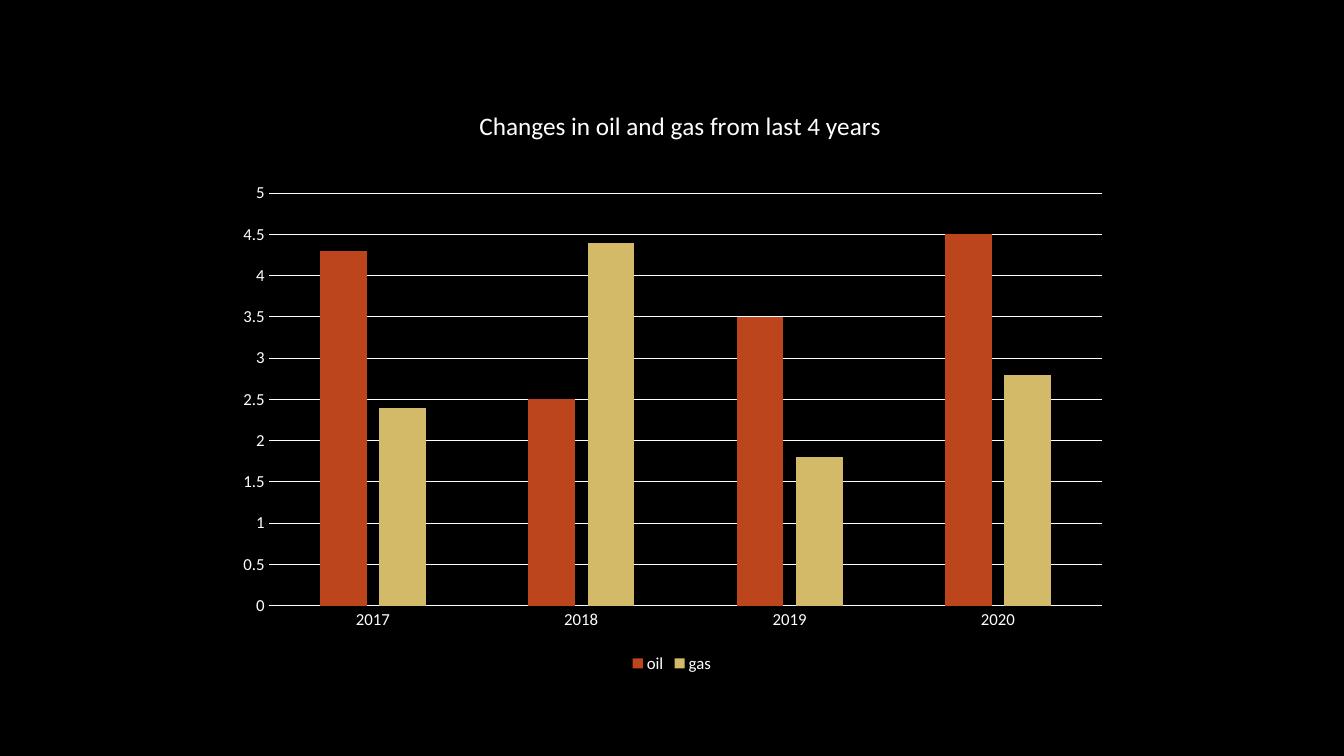
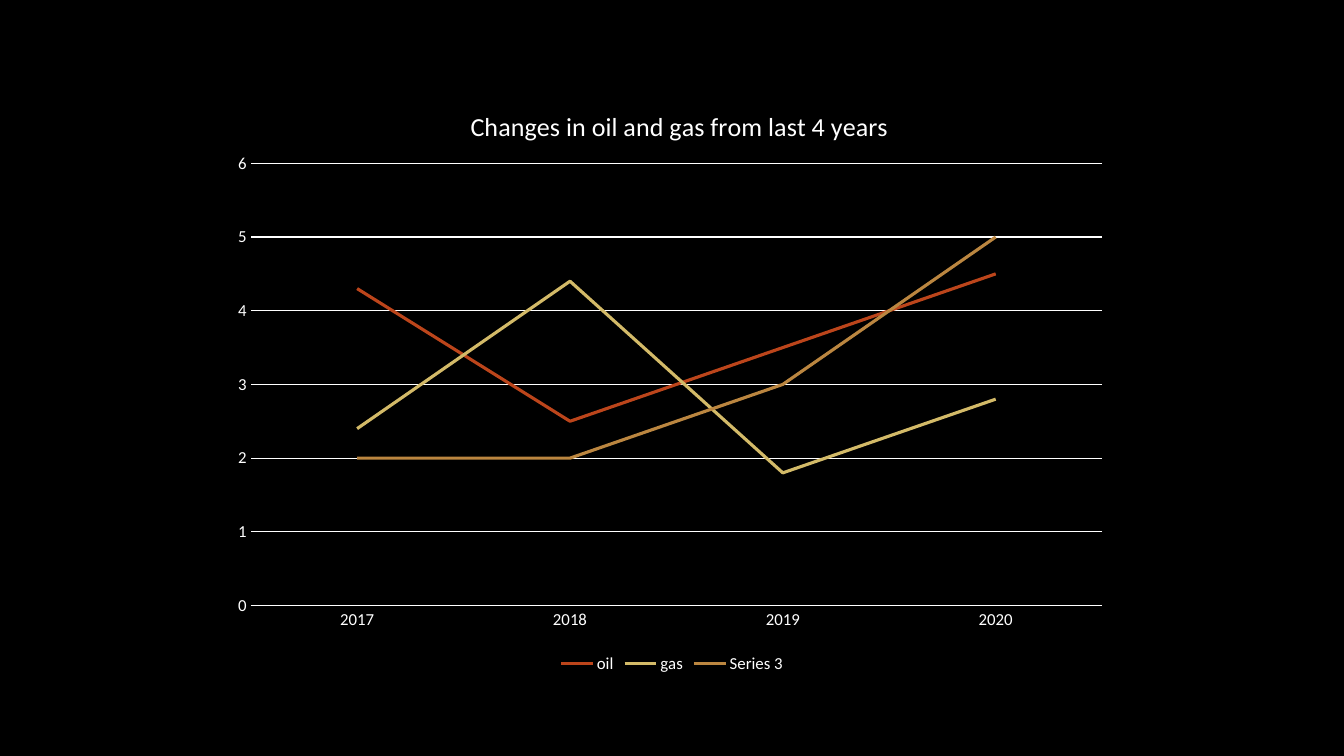
"""Build two slides charting changes in oil and gas."""
from dataclasses import dataclass

import lxml.etree
import pptx
import pptx.chart.chart
import pptx.chart.data
import pptx.dml.color
import pptx.enum.chart
import pptx.oxml
import pptx.oxml.ns
import pptx.util

BLACK = pptx.dml.color.RGBColor(0x00, 0x00, 0x00)
WHITE = pptx.dml.color.RGBColor(0xFF, 0xFF, 0xFF)
RUST = pptx.dml.color.RGBColor(0xBC, 0x45, 0x1B)
SAND = pptx.dml.color.RGBColor(0xD3, 0xBA, 0x68)
BRONZE = pptx.dml.color.RGBColor(0xBB, 0x86, 0x40)
FONT = "Calibri"
TITLE = "Changes in oil and gas from last 4 years"
YEARS = ("2017", "2018", "2019", "2020")
COLUMN = pptx.enum.chart.XL_CHART_TYPE.COLUMN_CLUSTERED
LINE = pptx.enum.chart.XL_CHART_TYPE.LINE


@dataclass(frozen=True)
class Series:
    name: str
    values: tuple[float, ...]
    color: pptx.dml.color.RGBColor


@dataclass(frozen=True)
class ChartSlide:
    kind: pptx.enum.chart.XL_CHART_TYPE
    title_size: float
    title_y: float
    title_x: float
    plot: tuple[float, float, float, float]
    axis_max: float
    axis_step: float
    series: tuple[Series, ...]


OIL = Series("oil", (4.3, 2.5, 3.5, 4.5), RUST)
GAS = Series("gas", (2.4, 4.4, 1.8, 2.8), SAND)
THIRD = Series("Series 3", (2, 2, 3, 5), BRONZE)
SLIDES = (
    ChartSlide(COLUMN, 18, 0.04, 0.28, (0.05, 0.19, 0.93, 0.69), 5, 0.5, (OIL, GAS)),
    ChartSlide(LINE, 18.6, 0.04, 0.27, (0.03, 0.14, 0.95, 0.74), 6, 1, (OIL, GAS, THIRD)),
)


def set_font(font: pptx.text.text.Font, size: float) -> None:
    font.name = FONT
    font.size = pptx.util.Pt(size)
    font.color.rgb = WHITE


def set_line(line: pptx.dml.line.LineFormat, color: pptx.dml.color.RGBColor, width: float) -> None:
    line.color.rgb = color
    line.width = pptx.util.Pt(width)


def place(parent: lxml.etree._Element, index: int, **settings: str | float) -> None:
    """Give a chart part a manual layout in fractions of the chart."""
    for old in parent.findall(pptx.oxml.ns.qn("c:layout")):
        parent.remove(old)
    layout = pptx.oxml.parse_xml(f"<c:layout {pptx.oxml.ns.nsdecls('c')}><c:manualLayout/></c:layout>")
    for name, value in settings.items():
        item = lxml.etree.SubElement(layout[0], pptx.oxml.ns.qn(f"c:{name}"))
        item.set("val", str(value))
    parent.insert(index, layout)


def style_title(chart: pptx.chart.chart.Chart, spec: ChartSlide) -> None:
    chart.has_title = True
    p = chart.chart_title.text_frame.paragraphs[0]
    p.text = TITLE
    set_font(p.font, spec.title_size)
    p.font.bold = False
    title = chart._chartSpace.chart.find(pptx.oxml.ns.qn("c:title"))
    place(title, 1, xMode="edge", yMode="edge", x=spec.title_x, y=spec.title_y)
    chart.chart_title.include_in_layout = False


def style_axes(chart: pptx.chart.chart.Chart, spec: ChartSlide) -> None:
    for axis in (chart.category_axis, chart.value_axis):
        axis.major_tick_mark = pptx.enum.chart.XL_TICK_MARK.NONE
        axis.minor_tick_mark = pptx.enum.chart.XL_TICK_MARK.NONE
        set_font(axis.tick_labels.font, 12)
    set_line(chart.category_axis.format.line, WHITE, 0.75)
    axis = chart.value_axis
    axis.format.line.fill.background()
    axis.minimum_scale = 0
    axis.maximum_scale = spec.axis_max
    axis.major_unit = spec.axis_step
    axis.has_major_gridlines = True
    set_line(axis.major_gridlines.format.line, WHITE, 0.75)


def style_series(chart: pptx.chart.chart.Chart, spec: ChartSlide) -> None:
    plot = chart.plots[0]
    plot.vary_by_categories = False
    if spec.kind == COLUMN:
        plot.gap_width = 219
        plot.overlap = -27
    for drawn, series in zip(plot.series, spec.series):
        if spec.kind == COLUMN:
            drawn.format.fill.solid()
            drawn.format.fill.fore_color.rgb = series.color
        else:
            drawn.smooth = False
            drawn.marker.style = pptx.enum.chart.XL_MARKER_STYLE.NONE
            set_line(drawn.format.line, series.color, 2.25)


def add_chart_slide(prs: pptx.presentation.Presentation, spec: ChartSlide) -> None:
    s = prs.slides.add_slide(prs.slide_layouts[6])
    data = pptx.chart.data.CategoryChartData()
    data.categories = YEARS
    for series in spec.series:
        data.add_series(series.name, series.values)
    box = (pptx.util.Inches(n) for n in (2.22, 0.79, 8.89, 5.93))
    chart = s.shapes.add_chart(spec.kind, *box, data).chart
    set_font(chart.font, 10)
    style_title(chart, spec)
    style_axes(chart, spec)
    style_series(chart, spec)
    chart.has_legend = True
    chart.legend.position = pptx.enum.chart.XL_LEGEND_POSITION.BOTTOM
    chart.legend.include_in_layout = False
    set_font(chart.legend.font, 12)
    x, y, w, h = spec.plot
    place(chart._chartSpace.chart.plotArea, 0, layoutTarget="inner",
          xMode="edge", yMode="edge", x=x, y=y, w=w, h=h)


def main() -> None:
    prs = pptx.Presentation()
    prs.slide_width = pptx.util.Inches(13.33)
    prs.slide_height = pptx.util.Inches(7.5)
    fill = prs.slide_master.background.fill
    fill.solid()
    fill.fore_color.rgb = BLACK
    for spec in SLIDES:
        add_chart_slide(prs, spec)
    prs.save("out.pptx")


main()
